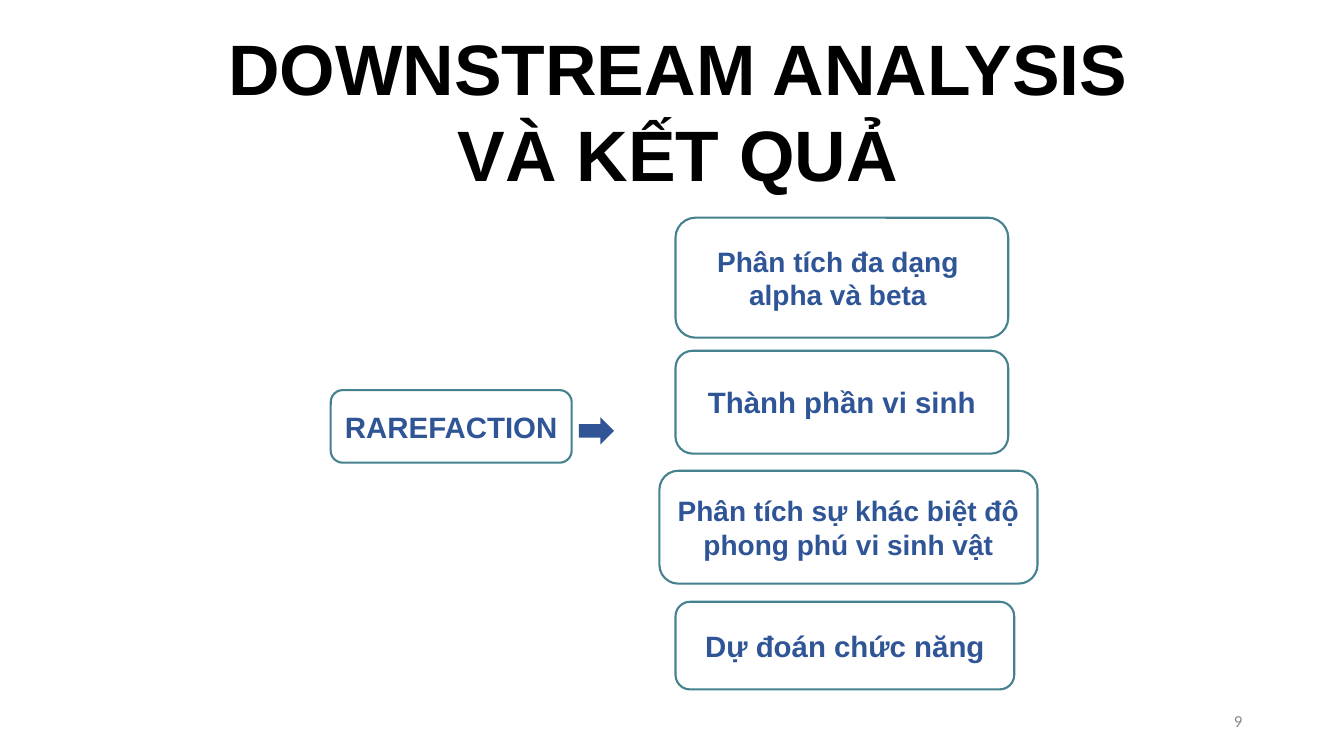
"""Builds the downstream analysis slide: rarefaction leading to four analyses."""
from pptx import Presentation
from pptx.dml.color import RGBColor
from pptx.enum.shapes import MSO_SHAPE
from pptx.enum.text import MSO_ANCHOR, PP_ALIGN
from pptx.util import Inches, Pt

ROUNDED, ARROW = MSO_SHAPE.ROUNDED_RECTANGLE, MSO_SHAPE.RIGHT_ARROW
TOP, MIDDLE = MSO_ANCHOR.TOP, MSO_ANCHOR.MIDDLE
CENTER, RIGHT = PP_ALIGN.CENTER, PP_ALIGN.RIGHT
COLORS = {"title": "000000", "number": "888888", "box": "FFFFFF",
          "outline": "45818E", "accent": "2F5597"}


def color(name):
    return RGBColor.from_string(COLORS[name])


def write(holder, lines, size, ink, font="Arial", bold=True,
          align=CENTER, anchor=MIDDLE, inset=0.05):
    frame = holder.text_frame
    layout = {"word_wrap": True, "vertical_anchor": anchor,
              "margin_left": Inches(0.1), "margin_right": Inches(0.1),
              "margin_top": Inches(inset), "margin_bottom": Inches(inset)}
    for key, value in layout.items():
        setattr(frame, key, value)
    for index, line in enumerate(lines):
        paragraph = frame.add_paragraph() if index else frame.paragraphs[0]
        paragraph.alignment = align
        run = paragraph.add_run()
        run.text = line
        for key, value in {"name": font, "size": Pt(size), "bold": bold}.items():
            setattr(run.font, key, value)
        run.font.color.rgb = color(ink)


deck = Presentation()
deck.slide_width, deck.slide_height = Inches(13.33), Inches(7.5)
slide = deck.slides.add_slide(deck.slide_layouts[6])
shapes = slide.shapes

page_number = shapes.add_textbox(Inches(9.42), Inches(6.95), Inches(3), Inches(0.4))
write(page_number, ["9"], 12, "number", font="Calibri", bold=False, align=RIGHT)

title = shapes.add_textbox(Inches(1.36), Inches(0.14), Inches(10.73), Inches(1.92))
write(title, ["DOWNSTREAM ANALYSIS", "VÀ KẾT QUẢ"], 51, "title", anchor=TOP, inset=0.1)

steps = [
    (3.28, 3.87, 2.39, 0.72, 21, ["RAREFACTION"]),
    (6.7, 2.16, 3.3, 1.19, 20, ["Phân tích đa dạng ", "alpha và beta "]),
    (6.7, 3.48, 3.3, 1.02, 21, ["Thành phần vi sinh"]),
    (6.54, 4.67, 3.75, 1.12, 20, ["Phân tích sự khác biệt độ phong phú vi sinh vật"]),
    (6.7, 5.97, 3.36, 0.87, 21, ["Dự đoán chức năng"]),
]
for left, top, width, height, size, lines in steps:
    step = shapes.add_shape(ROUNDED, Inches(left), Inches(top), Inches(width), Inches(height))
    step.shadow.inherit = False
    step.fill.solid()
    step.fill.fore_color.rgb = color("box")
    step.line.color.rgb = color("outline")
    step.line.width = Pt(1.5)
    write(step, lines, size, "accent")

flow = shapes.add_shape(ARROW, Inches(5.74), Inches(4.14), Inches(0.35), Inches(0.27))
flow.shadow.inherit = False
flow.fill.solid()
flow.fill.fore_color.rgb = color("accent")
flow.line.fill.background()

deck.save("out.pptx")
